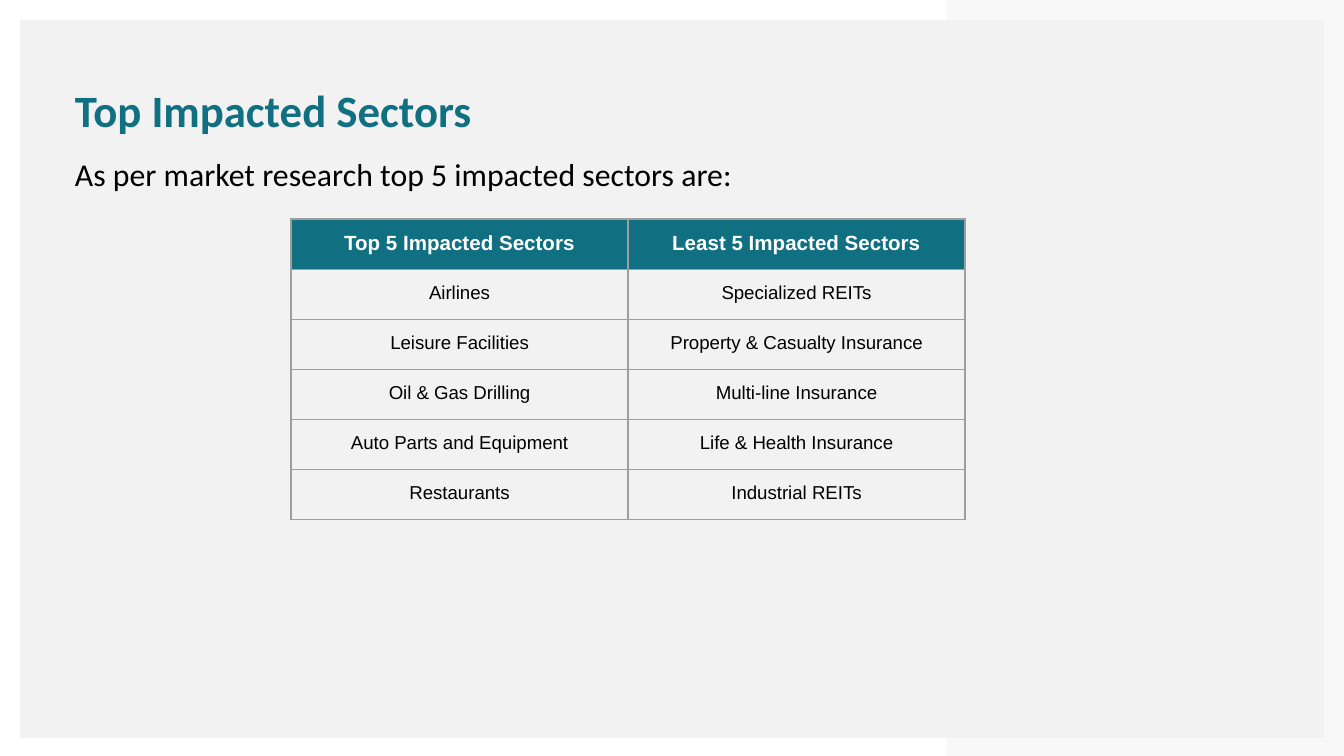
from lxml.etree import SubElement
from pptx import Presentation
from pptx.dml.color import RGBColor
from pptx.enum.shapes import MSO_SHAPE
from pptx.enum.text import MSO_ANCHOR, PP_ALIGN
from pptx.oxml.ns import qn
from pptx.util import Emu, Pt

SCALE = 914400 / 134.4
WIDTH, HEIGHT, MARGIN = 1344, 756, 20
COLOURS = {"panel": "F2F2F2", "accent": "107082", "grid": "9E9E9E",
           "text": "000000", "header": "FFFFFF"}
TITLE = {"size": Pt(24), "name": "Calibri", "bold": True}
BODY = {"size": Pt(17), "name": "Calibri", "bold": False}
HEADER = {"size": Pt(11), "name": "Arial", "bold": True}
ENTRY = {"size": Pt(10), "name": "Arial", "bold": False}
SECTORS = [
    ("Top 5 Impacted Sectors", "Least 5 Impacted Sectors"),
    ("Airlines", "Specialized REITs"),
    ("Leisure Facilities", "Property & Casualty Insurance"),
    ("Oil & Gas Drilling", "Multi-line Insurance"),
    ("Auto Parts and Equipment", "Life & Health Insurance"),
    ("Restaurants", "Industrial REITs"),
]


def px(length):
    return Emu(round(length * SCALE))


def apply(target, values):
    for name, value in values.items():
        setattr(target, name, value)


class SectorPage:
    """Draws styled elements on the current slide."""

    def __init__(self, deck):
        self.page = deck.slides.add_slide(deck.slide_layouts[6])

    def colour(self, name):
        return RGBColor.from_string(COLOURS[name])

    def paint(self, shape, fill):
        shape.shadow.inherit = False
        shape.fill.solid()
        shape.fill.fore_color.rgb = self.colour(fill)
        shape.line.fill.background()

    def panel(self, left, top, width, height):
        box = self.page.shapes.add_shape(
            MSO_SHAPE.RECTANGLE, *map(px, (left, top, width, height)))
        self.paint(box, "panel")

    def frame(self, points, opacity):
        builder = self.page.shapes.build_freeform(*points[0], scale=SCALE)
        builder.add_line_segments(points[1:], close=True)
        outline = builder.convert_to_shape()
        self.paint(outline, "panel")
        tint = outline._element.spPr.find(qn("a:solidFill")).find(qn("a:srgbClr"))
        SubElement(tint, qn("a:alpha"), val=str(opacity * 1000))

    def span(self, para, text, style, colour):
        span = para.add_run()
        span.text = text
        apply(span.font, style)
        span.font.color.rgb = self.colour(colour)

    def text(self, left, top, width, height, text, style, colour, spacing=1.0):
        box = self.page.shapes.add_textbox(*map(px, (left, top, width, height)))
        frame = box.text_frame
        apply(frame, {"word_wrap": True, "vertical_anchor": MSO_ANCHOR.TOP,
                      "margin_left": 0, "margin_right": 0,
                      "margin_top": 0, "margin_bottom": 0})
        para = frame.paragraphs[0]
        para.line_spacing = spacing
        self.span(para, text, style, colour)

    def border(self, cell):
        properties = cell._tc.get_or_add_tcPr()
        for side in ("lnL", "lnR", "lnT", "lnB"):
            line = SubElement(properties, qn(f"a:{side}"), w=str(int(Pt(0.75))))
            fill = SubElement(line, qn("a:solidFill"))
            SubElement(fill, qn("a:srgbClr"), val=COLOURS["grid"])

    def table(self, left, top, column_width, row_height, rows):
        columns = len(rows[0])
        size = (column_width * columns, row_height * len(rows))
        table = self.page.shapes.add_table(
            len(rows), columns, *map(px, (left, top, *size))).table
        apply(table, {"first_row": False, "horz_banding": False})
        for row_index, row in enumerate(rows):
            for column_index, text in enumerate(row):
                cell = table.cell(row_index, column_index)
                apply(cell, {"margin_left": px(13), "margin_right": px(13),
                             "margin_top": px(13), "margin_bottom": px(13)})
                self.border(cell)
                para = cell.text_frame.paragraphs[0]
                para.alignment = PP_ALIGN.CENTER
                if row_index == 0:
                    cell.fill.solid()
                    cell.fill.fore_color.rgb = self.colour("accent")
                    self.span(para, text, HEADER, "header")
                else:
                    cell.fill.background()
                    self.span(para, text, ENTRY, "text")


def main():
    deck = Presentation()
    deck.slide_width, deck.slide_height = px(WIDTH), px(HEIGHT)
    page = SectorPage(deck)
    right, bottom, start = WIDTH - MARGIN, HEIGHT - MARGIN, 947
    page.panel(MARGIN, MARGIN, WIDTH - 2 * MARGIN, 718)
    page.frame([(start, 0), (WIDTH, 0), (WIDTH, HEIGHT), (start, HEIGHT),
                (start, bottom), (right, bottom), (right, MARGIN), (start, MARGIN)], 50)
    page.text(75, 155, 833, 40, "As per market research top 5 impacted sectors are:",
              BODY, "text")
    page.text(75, 89, 833, 40, "Top Impacted Sectors", TITLE, "accent", 0.9)
    page.table(291, 219, 337, 50, SECTORS)
    deck.save("out.pptx")


if __name__ == "__main__":
    main()
